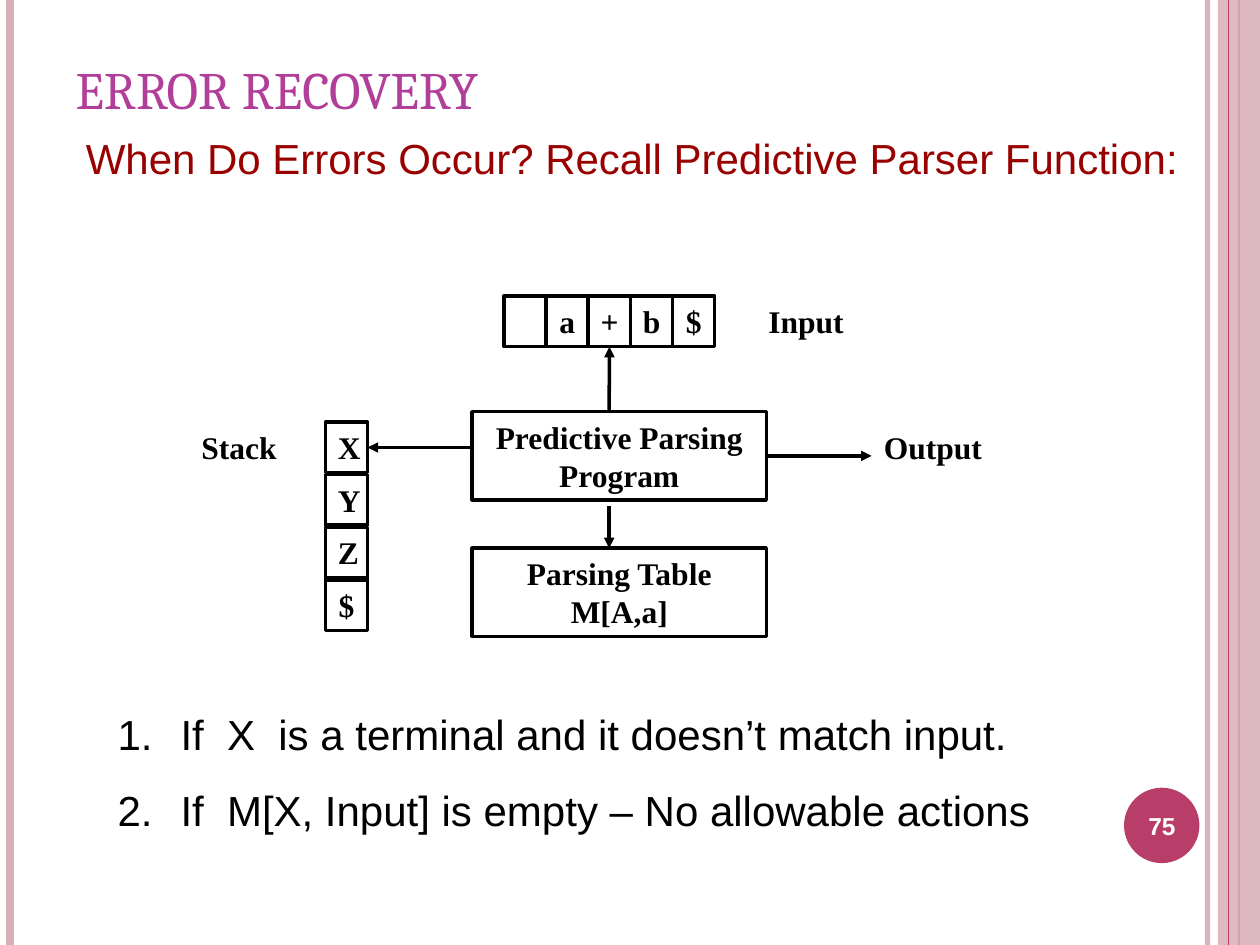
"""Build a slide on when errors occur in a predictive parser."""
from dataclasses import dataclass
from typing import Optional

import pptx
import pptx.dml.color
import pptx.enum.shapes
import pptx.enum.text
import pptx.oxml.ns
import pptx.util
from lxml import etree

Cm = pptx.util.Cm
Pt = pptx.util.Pt
Color = pptx.dml.color.RGBColor
Kind = pptx.enum.shapes.MSO_SHAPE
Align = pptx.enum.text.PP_ALIGN
Anchor = pptx.enum.text.MSO_ANCHOR
qn = pptx.oxml.ns.qn

BLACK = Color(0x00, 0x00, 0x00)
WHITE = Color(0xFF, 0xFF, 0xFF)
PINK = Color(0xD8, 0xAF, 0xB9)
ROSE = Color(0xB8, 0x3D, 0x68)
PURPLE = Color(0xB1, 0x3F, 0x9A)
MAROON = Color(0x99, 0x00, 0x00)

WIDE, HIGH = 25.4, 19.05
CELL, TALL, STEP = 0.85, 1.02, 1.06
SERIF, SANS = "Times New Roman", "Arial"


@dataclass
class Box:
    left: float
    top: float
    width: float
    height: float
    text: str = ""


@dataclass
class Style:
    font: str
    size: float
    color: Color
    bold: bool = False
    align: Align = Align.LEFT


@dataclass
class Line:
    start: tuple[float, float]
    end: tuple[float, float]
    color: Color = BLACK
    width: float = 2
    alpha: Optional[int] = None
    arrow: bool = False


LABEL = Style(SERIF, 18, BLACK, True)
CENTER = Style(SERIF, 18, BLACK, True, Align.CENTER)
HEADING = Style(SANS, 24, MAROON)
POINT = Style(SANS, 24, BLACK)
NUMBER = Style(SANS, 14, WHITE, True, Align.CENTER)

TAPE = [Box(10.16 + i * CELL, 5.97, CELL, TALL, mark)
        for i, mark in enumerate(["", "a", "+", "b", "$"])]
STACK = [Box(6.56, 8.51 + i * STEP, CELL, TALL, mark)
         for i, mark in enumerate("XYZ$")]
PROGRAM = Box(9.52, 8.3, 5.93, 1.78, "Predictive Parsing Program")
TABLE = Box(9.52, 11.05, 5.93, 1.78, "Parsing Table M[A,a]")
LABELS = [Box(15.24, 5.97, 2.33, TALL, "Input"),
          Box(3.81, 8.51, 2.33, TALL, "Stack"),
          Box(17.57, 8.51, 3.18, TALL, "Output")]
POINTS = ["If  X  is a terminal and it doesn’t match input.",
          "If  M[X, Input] is empty – No allowable actions"]


def set_font(para, style: Style) -> None:
    para.alignment = style.align
    for run in para.runs:
        run.font.name = style.font
        run.font.size = Pt(style.size)
        run.font.bold = style.bold
        run.font.color.rgb = style.color


def set_text(frame, text: str, style: Style) -> None:
    frame.word_wrap = True
    frame.text = text
    for para in frame.paragraphs:
        set_font(para, style)


def fade(fill, alpha: int) -> None:
    color = fill.find(".//" + qn("a:srgbClr"))
    etree.SubElement(color, qn("a:alpha")).set("val", str(alpha * 1000))


def add_line(slide, line: Line):
    ends = [Cm(v) for v in line.start + line.end]
    shape = slide.shapes.add_connector(
        pptx.enum.shapes.MSO_CONNECTOR.STRAIGHT, *ends)
    shape.line.color.rgb = line.color
    shape.line.width = Pt(line.width)
    props = shape._element.spPr
    stroke = props.find(qn("a:ln"))
    if line.alpha:
        fade(stroke, line.alpha)
    if line.arrow:
        etree.SubElement(stroke, qn("a:tailEnd")).set("type", "triangle")
    etree.SubElement(props, qn("a:effectLst"))
    return shape


def add_shape(slide, kind: Kind, box: Box, fill: Optional[Color] = None):
    shape = slide.shapes.add_shape(
        kind, Cm(box.left), Cm(box.top), Cm(box.width), Cm(box.height))
    shape.shadow.inherit = False
    if fill is None:
        shape.fill.background()
        shape.line.color.rgb = BLACK
        shape.line.width = Pt(2)
    else:
        shape.fill.solid()
        shape.fill.fore_color.rgb = fill
        shape.line.fill.background()
    if box.text:
        shape.text_frame.vertical_anchor = Anchor.TOP
        set_text(shape.text_frame, box.text, CENTER)
    return shape


def add_text(slide, box: Box, style: Style):
    shape = slide.shapes.add_textbox(
        Cm(box.left), Cm(box.top), Cm(box.width), Cm(box.height))
    set_text(shape.text_frame, box.text, style)
    return shape.text_frame


def add_frame(slide) -> None:
    def rule(x: float, color: Color, width: float, alpha=None) -> None:
        add_line(slide, Line((x, 0), (x, HIGH), color, width, alpha))

    rule(24.34, PINK, 3, 93)
    rule(0.21, PINK, 4.5)
    rule(24.98, ROSE, 1.5)
    band = add_shape(slide, Kind.RECTANGLE, Box(24.55, 0, 0.85, HIGH), PINK)
    fade(band._element.spPr, 87)
    rule(24.77, ROSE, 0.75)
    add_shape(slide, Kind.OVAL, Box(22.66, 15.88, 1.52, 1.52), ROSE)


def add_title(slide) -> None:
    title = slide.shapes.title
    title.left, title.top = Cm(1.27), Cm(0.76)
    title.width, title.height = Cm(20.75), Cm(1.78)
    title.text_frame.auto_size = pptx.enum.text.MSO_AUTO_SIZE.NONE
    title.text_frame.vertical_anchor = Anchor.BOTTOM
    set_text(title.text_frame, "ERROR RECOVERY", Style("Cambria", 30, PURPLE))


def add_parser(slide) -> None:
    tape = [add_shape(slide, Kind.RECTANGLE, box) for box in TAPE]
    stack = [add_shape(slide, Kind.RECTANGLE, box) for box in STACK]
    program = add_shape(slide, Kind.RECTANGLE, PROGRAM)
    add_shape(slide, Kind.RECTANGLE, TABLE)
    for box in LABELS:
        add_text(slide, box, LABEL)
    up, left, down, right = [
        add_line(slide, Line(start, end, arrow=True)) for start, end in [
            ((12.28, 8.3), (12.28, 6.99)), ((9.52, 9.02), (7.41, 9.02)),
            ((12.28, 10.21), (12.28, 11.05)), ((15.45, 9.19), (17.57, 9.19))]]
    up.end_connect(tape[2], 2)
    left.end_connect(stack[0], 3)
    right.begin_connect(program, 3)


def add_points(slide) -> None:
    frame = add_text(
        slide, Box(2.12, 14.15, 21.59, 2.82, "\n".join(POINTS)), POINT)
    for para in frame.paragraphs:
        props = para._p.get_or_add_pPr()
        props.set("marL", str(Cm(1.27)))
        props.set("indent", str(-Cm(1.27)))
        tint = etree.SubElement(props, qn("a:buClr"))
        etree.SubElement(tint, qn("a:srgbClr")).set("val", str(BLACK))
        etree.SubElement(props, qn("a:buAutoNum")).set("type", "arabicPeriod")
    frame.paragraphs[1].space_before = Pt(15)


def main() -> None:
    deck = pptx.Presentation()
    deck.slide_width, deck.slide_height = Cm(WIDE), Cm(HIGH)
    slide = deck.slides.add_slide(deck.slide_layouts[5])
    add_frame(slide)
    add_title(slide)
    add_parser(slide)
    add_text(slide, Box(1.48, 2.54, 23.07, 1.27,
                        "When Do Errors Occur? Recall Predictive Parser Function:"),
             HEADING)
    add_points(slide)
    page = add_text(slide, Box(22.58, 15.93, 1.69, 1.45, "75"), NUMBER)
    page.vertical_anchor = Anchor.MIDDLE
    deck.save("out.pptx")


if __name__ == "__main__":
    main()
